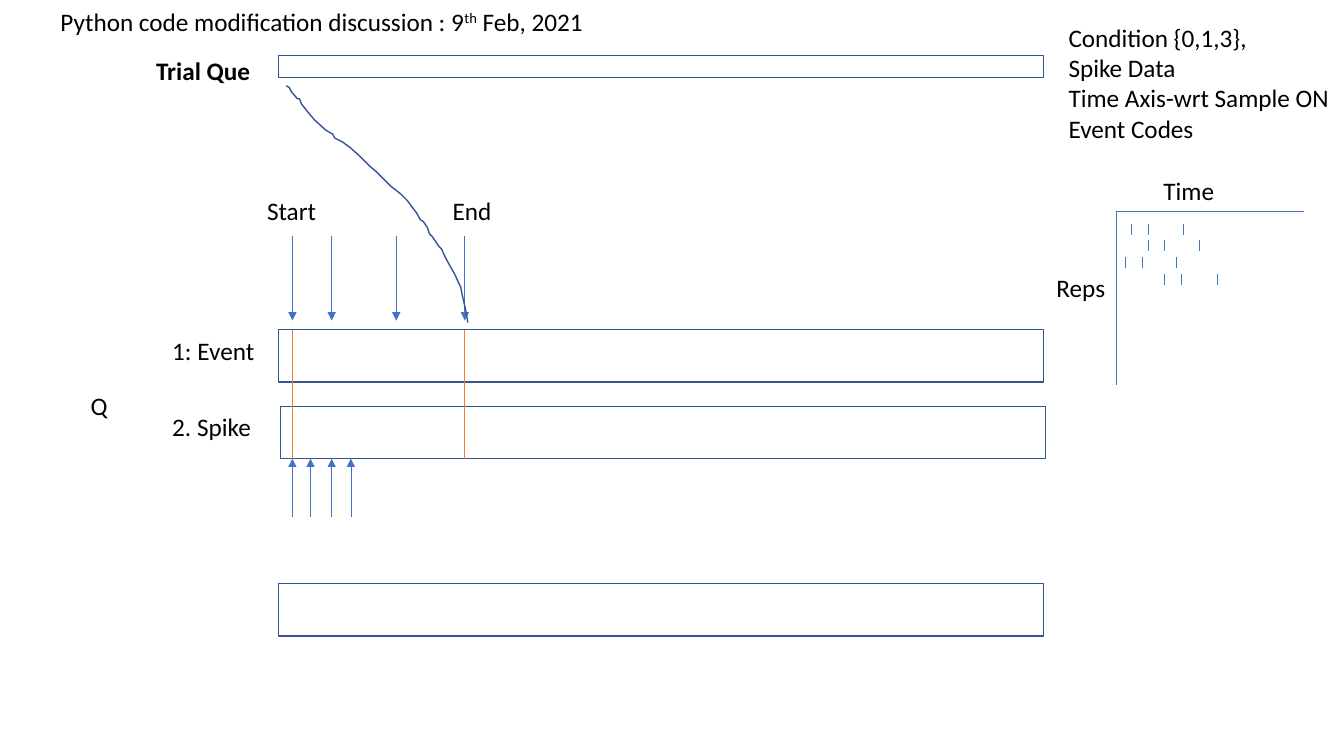
"""Builds the trial queue, event and spike timing slide."""
from dataclasses import dataclass

from lxml import etree
from pptx import Presentation
from pptx import util as u
from pptx.dml.color import RGBColor
from pptx.enum import shapes, text
from pptx.oxml.ns import qn


@dataclass(frozen=True)
class Theme:
    font: str = "Calibri"
    size: int = 18
    ink: RGBColor = RGBColor(0x00, 0x00, 0x00)
    outline: RGBColor = RGBColor(0x32, 0x54, 0x91)
    marker: RGBColor = RGBColor(0x44, 0x72, 0xC4)
    window: RGBColor = RGBColor(0xED, 0x7D, 0x31)
    outline_width: float = 1
    line_width: float = 0.5


class Sketch:
    def __init__(self, page, theme):
        self.page = page
        self.theme = theme

    def style_paragraph(self, para, bold=False):
        para.alignment = text.PP_ALIGN.LEFT
        para.font.name = self.theme.font
        para.font.size = u.Pt(self.theme.size)
        para.font.bold = bold
        para.font.color.rgb = self.theme.ink

    def title(self, spans, left, top, width, height):
        box = self.page.shapes.title
        box.left, box.top = u.Inches(left), u.Inches(top)
        box.width, box.height = u.Inches(width), u.Inches(height)
        frame = box.text_frame
        frame.auto_size = text.MSO_AUTO_SIZE.NONE
        frame.vertical_anchor = text.MSO_ANCHOR.TOP
        para = frame.paragraphs[0]
        self.style_paragraph(para)
        for words, raised in spans:
            span = para.add_run()
            span.text = words
            if raised:
                span.font._element.set("baseline", "30000")

    def label(self, lines, left, top, width, height=0.4, bold=False):
        box = self.page.shapes.add_textbox(
            u.Inches(left), u.Inches(top), u.Inches(width), u.Inches(height))
        frame = box.text_frame
        frame.word_wrap = False
        frame.auto_size = text.MSO_AUTO_SIZE.SHAPE_TO_FIT_TEXT
        frame.text = lines
        for para in frame.paragraphs:
            self.style_paragraph(para, bold)

    def outline(self, shape):
        shape.shadow.inherit = False
        shape.fill.background()
        shape.line.color.rgb = self.theme.outline
        shape.line.width = u.Pt(self.theme.outline_width)

    def bar(self, left, top, width, height):
        self.outline(self.page.shapes.add_shape(
            shapes.MSO_SHAPE.RECTANGLE, u.Inches(left), u.Inches(top),
            u.Inches(width), u.Inches(height)))

    def line(self, x1, y1, x2, y2, color=None, arrow=False):
        line = self.page.shapes.add_connector(
            shapes.MSO_CONNECTOR.STRAIGHT, u.Inches(x1), u.Inches(y1),
            u.Inches(x2), u.Inches(y2))
        line.line.color.rgb = color or self.theme.marker
        line.line.width = u.Pt(self.theme.line_width)
        if arrow:
            etree.SubElement(line.line._get_or_add_ln(), qn("a:tailEnd"), type="triangle")
        etree.SubElement(line._element.spPr, qn("a:effectLst"))

    def stroke(self, points):
        start, *rest = [(u.Inches(x), u.Inches(y)) for x, y in points]
        builder = self.page.shapes.build_freeform(*start)
        builder.add_line_segments(rest, close=False)
        self.outline(builder.convert_to_shape())


BAR_LEFT, BAR_WIDTH, BAR_HEIGHT = 2.76, 7.59, 0.52
EVENT_TOP, SPIKE_TOP, SPIKE_BOTTOM = 3.27, 4.03, 4.55
START, END = 2.9, 4.61
EVENT_TIMES = (START, 3.29, 3.93, END)
SPIKE_TIMES = (START, 3.08, 3.29, 3.48)
RASTER_LEFT, RASTER_TOP = 11.07, 2.1
RASTER_ROWS = (
    (11.22, 11.39, 11.74),
    (11.39, 11.55, 11.9),
    (11.16, 11.33, 11.67),
    (11.55, 11.72, 12.07),
)
FIRST_TICK, ROW_STEP, TICK_LENGTH = 2.22, 0.165, 0.11
QUEUE_TO_END = (
    (4.64, 3.2), (4.62, 3.08), (4.59, 2.95), (4.57, 2.85), (4.51, 2.72),
    (4.42, 2.56), (4.38, 2.47), (4.35, 2.44), (4.29, 2.35), (4.26, 2.32),
    (4.24, 2.26), (4.2, 2.2), (4.17, 2.18), (4.13, 2.11), (4.07, 2.03),
    (4.04, 1.99), (3.97, 1.92), (3.88, 1.85), (3.74, 1.71), (3.67, 1.65),
    (3.57, 1.55), (3.48, 1.47), (3.4, 1.41), (3.32, 1.37), (3.3, 1.33),
    (3.23, 1.29), (3.12, 1.19), (3.06, 1.12), (2.99, 1.03), (2.97, 0.98),
    (2.95, 0.98), (2.89, 0.91), (2.87, 0.87), (2.84, 0.85),
)


def main():
    deck = Presentation()
    deck.slide_width, deck.slide_height = u.Inches(13.33), u.Inches(7.5)
    page = deck.slides.add_slide(deck.slide_layouts.get_by_name("Title Only"))
    theme = Theme()
    sketch = Sketch(page, theme)

    sketch.title(
        (("Python code modification discussion : 9", False), ("th", True),
         (" Feb, 2021", False)), 0.5, 0.01, 5.95, 0.4)

    sketch.bar(BAR_LEFT, 0.55, BAR_WIDTH, 0.22)
    for left, top in ((BAR_LEFT, EVENT_TOP), (2.78, SPIKE_TOP), (BAR_LEFT, 5.79)):
        sketch.bar(left, top, BAR_WIDTH, BAR_HEIGHT)

    sketch.label("Trial Que", 1.45, 0.5, 1.14, bold=True)
    for words, left, top, width in (
        ("Q", 0.8, 3.82, 0.36),
        ("1: Event", 1.61, 3.28, 1.08),
        ("2. Spike", 1.61, 4.03, 0.99),
        ("Start", 2.55, 1.89, 0.69),
        ("End", 4.39, 1.89, 0.59),
        ("Time", 11.44, 1.69, 0.72),
        ("Reps", 10.38, 2.65, 0.69),
    ):
        sketch.label(words, left, top, width)
    sketch.label(
        "Condition {0,1,3},\nSpike Data\nTime Axis-wrt Sample ON\nEvent Codes",
        10.5, 0.17, 2.87, 1.31)

    for time in EVENT_TIMES:
        sketch.line(time, 2.34, time, 3.18, arrow=True)
    for time in SPIKE_TIMES:
        sketch.line(time, 5.13, time, SPIKE_BOTTOM, arrow=True)
    for time in (START, END):
        sketch.line(time, EVENT_TOP, time, SPIKE_BOTTOM, theme.window)
    sketch.stroke(QUEUE_TO_END)

    sketch.line(RASTER_LEFT, RASTER_TOP, RASTER_LEFT, 3.82)
    sketch.line(RASTER_LEFT, RASTER_TOP, 12.93, RASTER_TOP)
    for row, times in enumerate(RASTER_ROWS):
        top = FIRST_TICK + row * ROW_STEP
        for time in times:
            sketch.line(time, top, time, top + TICK_LENGTH)

    deck.save("out.pptx")


if __name__ == "__main__":
    main()
